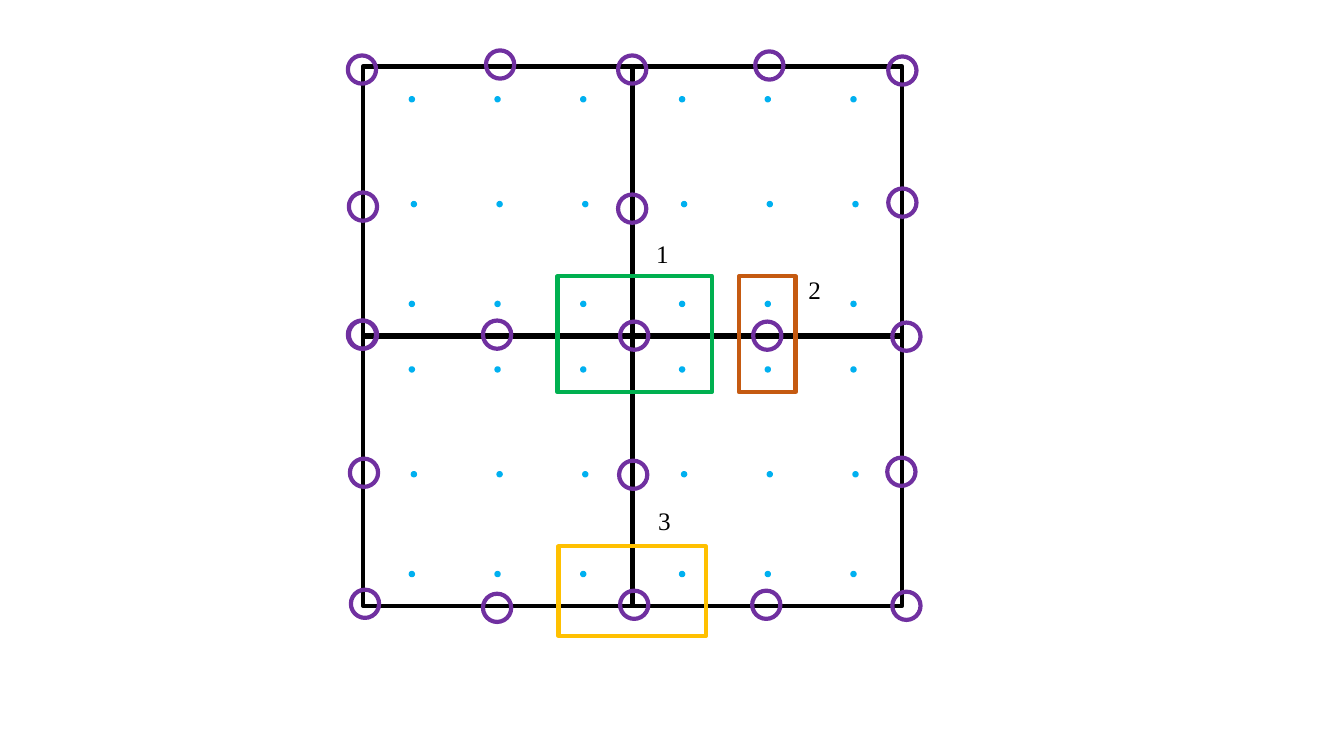
import pptx
import pptx.util
import pptx.dml.color
import pptx.enum.shapes
import pptx.enum.text

Inches = pptx.util.Inches
Pt = pptx.util.Pt
RGBColor = pptx.dml.color.RGBColor
MSO_SHAPE = pptx.enum.shapes.MSO_SHAPE

BLACK = RGBColor(0x00, 0x00, 0x00)
BLUE = RGBColor(0x00, 0xB0, 0xF0)
GREEN = RGBColor(0x00, 0xB0, 0x50)
ORANGE = RGBColor(0xC5, 0x5A, 0x11)
YELLOW = RGBColor(0xFF, 0xC0, 0x00)
PURPLE = RGBColor(0x70, 0x30, 0xA0)

# Grid of four square elements
GRID_LEFT, GRID_TOP = 3.6, 0.66
PITCH, SIDE = 2.68, 2.67

# Integration points inside an element
DOT = 0.05
DOT_LEFT, DOT_STEP = 0.46, 0.85
DOT_ROWS = [(0, 0.3), (0.02, 1.34), (0, 2.33)]  # row shift, row top

# Nodes, placed by hand around the element edges: left, top
NODE = 0.28
NODES = [
    (3.45, 0.55), (4.82, 0.5), (6.13, 0.55), (3.46, 1.91), (3.45, 3.18),
    (4.79, 3.18), (6.15, 3.19), (7.49, 0.51), (8.81, 0.56), (6.13, 1.93),
    (8.81, 1.87), (7.47, 3.19), (8.85, 3.2), (8.8, 4.54), (7.46, 5.86),
    (8.85, 5.87), (3.46, 3.18), (3.47, 4.55), (6.14, 4.57), (3.48, 5.85),
    (4.79, 5.89), (6.15, 5.86),
]

# Marked patches: left, top, width, height, colour
PATCHES = [
    (5.53, 2.74, 1.53, 1.15, GREEN),
    (7.33, 2.74, 0.56, 1.15, ORANGE),
    (5.54, 5.42, 1.46, 0.89, YELLOW),
]
LABELS = [("1", 6.41, 2.32), ("2", 7.92, 2.67), ("3", 6.43, 4.96)]


def add_outline(shapes, kind, left, top, width, height, color, weight=3):
    s = shapes.add_shape(kind, Inches(left), Inches(top),
                         Inches(width), Inches(height))
    s.shadow.inherit = False
    s.fill.background()
    s.line.color.rgb = color
    s.line.width = Pt(weight)
    return s


def add_dot(shapes, left, top):
    s = add_outline(shapes, MSO_SHAPE.OVAL, left, top, DOT, DOT, BLUE, 1)
    s.fill.solid()
    s.fill.fore_color.rgb = BLUE


def add_element(shapes, left, top):
    group = shapes.add_group_shape()
    add_outline(group.shapes, MSO_SHAPE.RECTANGLE, left, top, SIDE, SIDE, BLACK)
    for shift, row_top in DOT_ROWS:
        for col in range(3):
            add_dot(group.shapes, left + DOT_LEFT + shift + col * DOT_STEP,
                    top + row_top)


def add_label(shapes, text, left, top):
    s = shapes.add_textbox(Inches(left), Inches(top), Inches(0.52), Inches(0.4))
    tf = s.text_frame
    tf.word_wrap = True
    tf.auto_size = pptx.enum.text.MSO_AUTO_SIZE.SHAPE_TO_FIT_TEXT
    r = tf.paragraphs[0].add_run()
    r.text = text
    r.font.name = "Times New Roman"
    r.font.size = Pt(18)
    r.font.color.rgb = BLACK


def main():
    prs = pptx.Presentation()
    prs.slide_width, prs.slide_height = Inches(13.33), Inches(7.5)
    shapes = prs.slides.add_slide(prs.slide_layouts[6]).shapes

    # Elements with their integration points
    for row in range(2):
        for col in range(2):
            add_element(shapes, GRID_LEFT + col * PITCH, GRID_TOP + row * PITCH)

    # Patches and their numbers
    for left, top, width, height, color in PATCHES:
        add_outline(shapes, MSO_SHAPE.RECTANGLE, left, top, width, height, color)
    for text, left, top in LABELS:
        add_label(shapes, text, left, top)

    # Nodes
    for left, top in NODES:
        add_outline(shapes, MSO_SHAPE.OVAL, left, top, NODE, NODE, PURPLE)

    prs.save("out.pptx")


if __name__ == "__main__":
    main()
